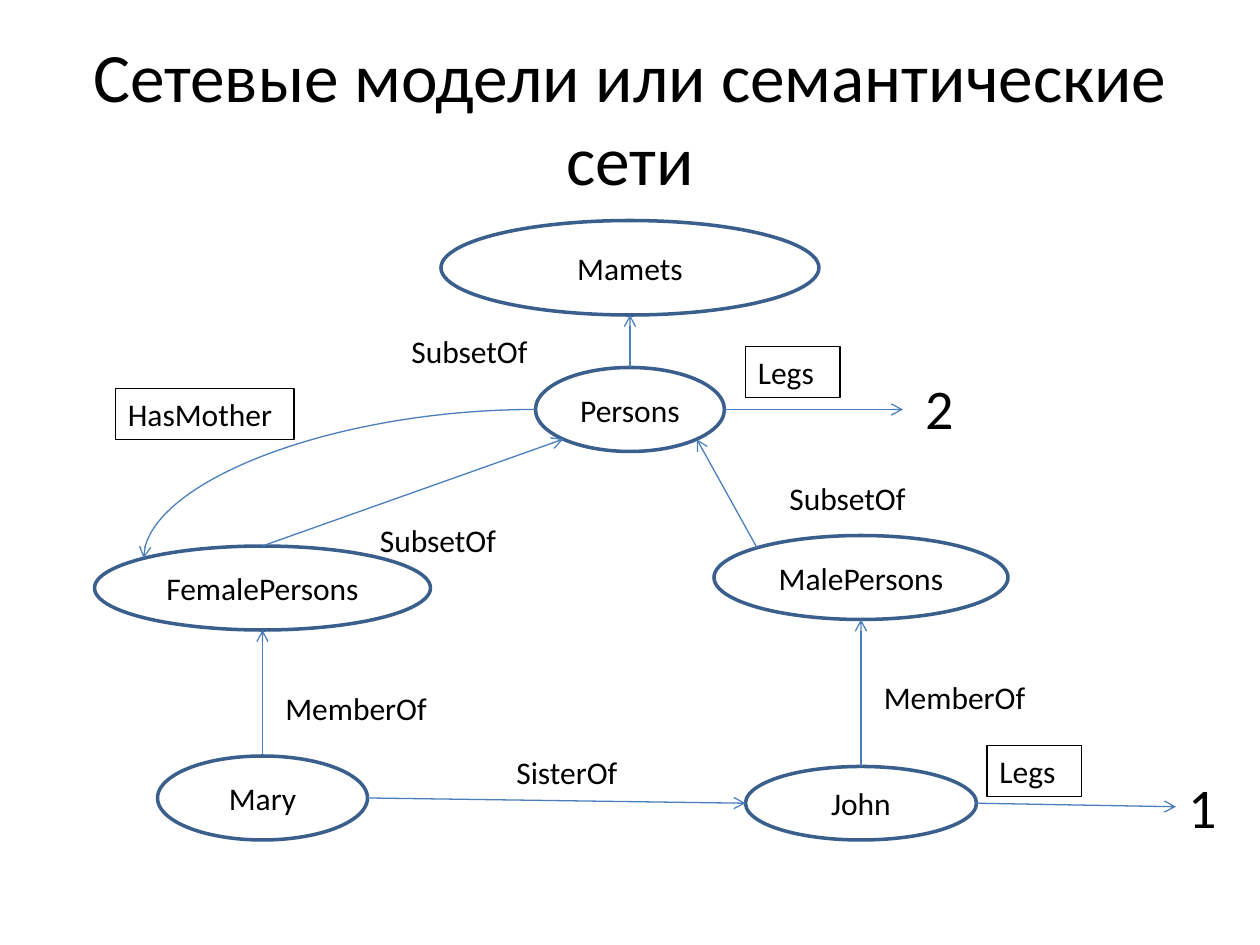
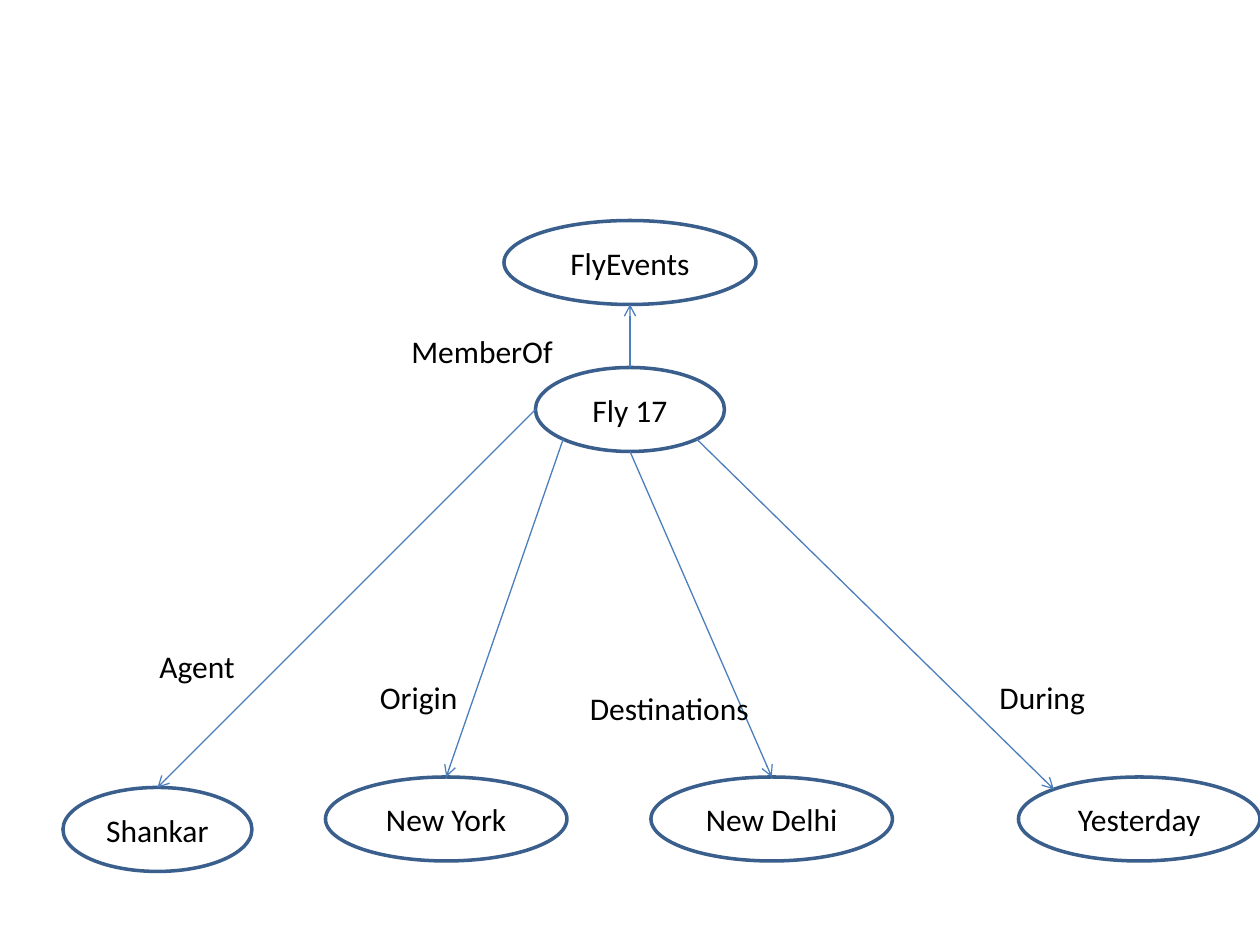
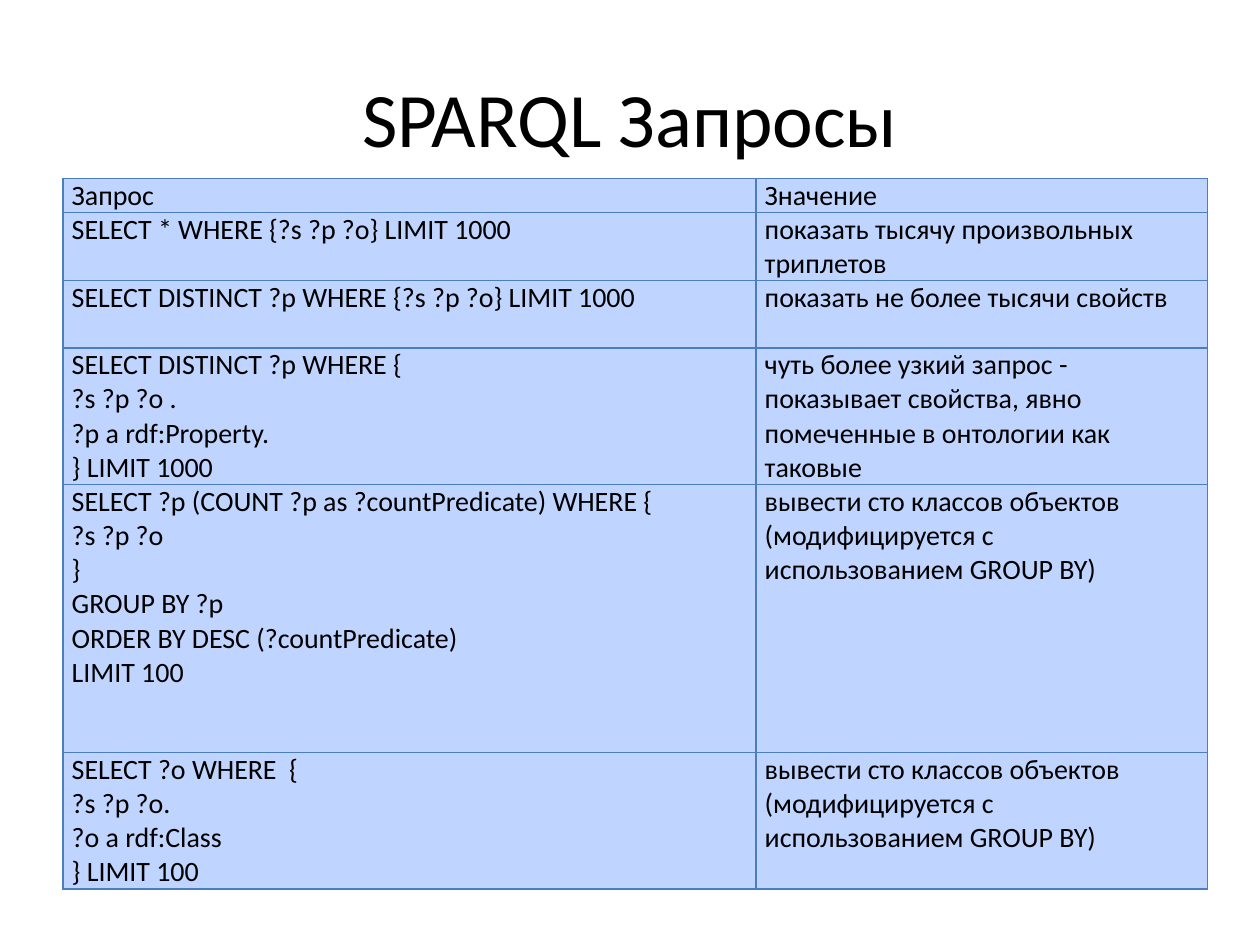
from math import sqrt

from lxml.etree import SubElement
from pptx import Presentation
from pptx.dml.color import RGBColor
from pptx.enum.shapes import MSO_CONNECTOR, MSO_SHAPE
from pptx.enum.text import MSO_ANCHOR, MSO_AUTO_SIZE, PP_ALIGN
from pptx.oxml.ns import qn
from pptx.util import Pt

COLORS = {
    "text": "000000",
    "outline": "3A5F8C",
    "arrow": "4B7EBC",
    "cell": "BFD4FF",
}
FONT = "Calibri"
TITLE_BOX = (36, 21.6, 648, 90)
NEAR = 0.5 - sqrt(0.5) / 2
FAR = 1 - NEAR
SITES = {
    "top": (0.5, 0),
    "top left": (NEAR, NEAR),
    "left": (0, 0.5),
    "bottom left": (NEAR, FAR),
    "bottom": (0.5, 1),
    "bottom right": (FAR, FAR),
    "right": (1, 0.5),
}


def fill_text(shape, text, size, centered):
    frame = shape.text_frame
    frame.word_wrap = True
    frame.text = text
    frame.vertical_anchor = MSO_ANCHOR.MIDDLE if centered else MSO_ANCHOR.TOP
    if not centered:
        frame.auto_size = MSO_AUTO_SIZE.SHAPE_TO_FIT_TEXT
    for paragraph in frame.paragraphs:
        paragraph.alignment = PP_ALIGN.CENTER if centered else PP_ALIGN.LEFT
        paragraph.font.name = FONT
        paragraph.font.size = Pt(size)
        paragraph.font.color.rgb = RGBColor.from_string(COLORS["text"])


def locate(nodes, end):
    if isinstance(end[0], str):
        left, top, width, height = nodes[end[0]]
        across, down = SITES[end[1]]
        end = (left + across * width, top + down * height)
    return [Pt(round(value, 2)) for value in end]


diagrams = [
    {
        "title": "Сетевые модели или семантические сети",
        "nodes": {
            "Mamets": (252, 126, 216, 54),
            "Persons": (306, 210, 108, 48),
            "FemalePersons": (54, 312, 192, 48),
            "MalePersons": (408, 306, 168, 48),
            "Маrу": (90, 432, 120, 48),
            "John": (426, 438, 132, 42),
        },
        "links": [
            (("Persons", "top"), ("Mamets", "bottom")),
            (("FemalePersons", "top"), ("Persons", "bottom left")),
            (("MalePersons", "top left"), ("Persons", "bottom right")),
            (("Маrу", "top"), ("FemalePersons", "bottom")),
            (("John", "top"), ("MalePersons", "bottom")),
            (("Persons", "right"), (516, 234)),
            (("Маrу", "right"), ("John", "left")),
            (("John", "right"), (672, 461)),
        ],
        "curves": [(("Persons", "left"), ("FemalePersons", "top left"))],
        "labels": [
            ("SubsetOf", 228, 186, 150, 18),
            ("SubsetOf", 210, 294, 150, 18),
            ("SubsetOf", 444, 270, 150, 18),
            ("MemberOf", 156, 390, 150, 18),
            ("MemberOf", 498, 384, 150, 18),
            ("SisterOf", 288, 427, 150, 18),
            ("2", 522, 210, 150, 32),
            ("1", 672, 438, 48, 32),
        ],
        "frames": [
            ("Legs", 426, 198, 54),
            ("HasMother", 66, 222, 102),
            ("Legs", 564, 426, 54),
        ],
    },
    {
        "title": None,
        "nodes": {
            "FlyEvents": (288, 126, 144, 48),
            "Fly 17": (306, 210, 108, 48),
            "Shankar": (36, 450, 108, 48),
            "New York": (186, 444, 138, 48),
            "New Delhi": (372, 444, 138, 48),
            "Yesterday": (582, 444, 138, 48),
        },
        "links": [
            (("Fly 17", "top"), ("FlyEvents", "bottom")),
            (("Fly 17", "left"), ("Shankar", "top")),
            (("Fly 17", "bottom left"), ("New York", "top")),
            (("Fly 17", "bottom"), ("New Delhi", "top")),
            (("Fly 17", "bottom right"), ("Yesterday", "top left")),
        ],
        "curves": [],
        "labels": [
            ("MemberOf", 228, 186, 108, 18),
            ("Agent", 84, 366, 60, 18),
            ("Origin", 210, 384, 60, 18),
            ("Destinations", 330, 390, 108, 18),
            ("During", 564, 384, 84, 18),
        ],
        "frames": [],
    },
]

presentation = Presentation()
presentation.slide_width = Pt(720)
presentation.slide_height = Pt(540)
blank = presentation.slide_layouts[6]

for diagram in diagrams:
    slide = presentation.slides.add_slide(blank)
    nodes = diagram["nodes"]
    if diagram["title"]:
        title = slide.shapes.add_textbox(*map(Pt, TITLE_BOX))
        fill_text(title, diagram["title"], 39.6, True)

    for name, box in nodes.items():
        ellipse = slide.shapes.add_shape(MSO_SHAPE.OVAL, *map(Pt, box))
        ellipse.shadow.inherit = False
        ellipse.fill.background()
        ellipse.line.color.rgb = RGBColor.from_string(COLORS["outline"])
        ellipse.line.width = Pt(2)
        fill_text(ellipse, name, 18, True)

    for start, end in diagram["links"] + diagram["curves"]:
        curved = (start, end) in diagram["curves"]
        kind = MSO_CONNECTOR.CURVE if curved else MSO_CONNECTOR.STRAIGHT
        arrow = slide.shapes.add_connector(kind, *locate(nodes, start), *locate(nodes, end))
        arrow.line.color.rgb = RGBColor.from_string(COLORS["arrow"])
        arrow.line.width = Pt(0.75)
        properties = arrow._element.spPr
        if curved:
            properties.find(qn("a:prstGeom")).set("prst", "curvedConnector2")
        SubElement(properties.find(qn("a:ln")), qn("a:tailEnd"), type="arrow")
        SubElement(properties, qn("a:effectLst"))

    for text, left, top, width, size in diagram["labels"]:
        height = 46 if size == 32 else 29
        label = slide.shapes.add_textbox(Pt(left), Pt(top), Pt(width), Pt(height))
        fill_text(label, text, size, False)

    for text, left, top, width in diagram["frames"]:
        frame = slide.shapes.add_shape(MSO_SHAPE.RECTANGLE, Pt(left), Pt(top), Pt(width), Pt(29))
        frame.shadow.inherit = False
        frame.fill.background()
        frame.line.color.rgb = RGBColor.from_string(COLORS["text"])
        frame.line.width = Pt(0.75)
        fill_text(frame, text, 18, False)

queries = [
    (19.5, "Запрос", "Значение"),
    (39, "SELECT * WHERE {?s ?p ?o} LIMIT 1000", "показать тысячу произвольных триплетов"),
    (38.4, "SELECT DISTINCT ?p WHERE {?s ?p ?o} LIMIT 1000", "показать не более тысячи свойств"),
    (
        78,
        "SELECT DISTINCT ?p WHERE {\n?s ?p ?o .\n?p a rdf:Property.\n} LIMIT 1000",
        "чуть более узкий запрос - показывает свойства, явно помеченные в онтологии как таковые",
    ),
    (
        153.2,
        "SELECT ?p (COUNT ?p as ?countPredicate) WHERE {\n?s ?p ?o\n}\nGROUP BY ?p\n"
        "ORDER BY DESC (?countPredicate)\nLIMIT 100",
        "вывести сто классов объектов (модифицируется с использованием GROUP BY)",
    ),
    (
        78,
        "SELECT ?o WHERE  {\n?s ?p ?o.\n?o a rdf:Class\n} LIMIT 100",
        "вывести сто классов объектов (модифицируется с использованием GROUP BY)",
    ),
]

slide = presentation.slides.add_slide(blank)
title = slide.shapes.add_textbox(*map(Pt, TITLE_BOX))
fill_text(title, "SPARQL Запросы", 44, True)

table = slide.shapes.add_table(len(queries), 2, Pt(36), Pt(102), Pt(654), Pt(406.1)).table
table.first_row = False
table.horz_banding = False
table.columns[0].width = Pt(396)
table.columns[1].width = Pt(258)
for row, (height, *texts) in zip(table.rows, queries):
    row.height = Pt(height)
    for cell, text in zip(row.cells, texts):
        cell.text = text
        cell.margin_left = cell.margin_right = Pt(5)
        cell.margin_top = cell.margin_bottom = Pt(0)
        for paragraph in cell.text_frame.paragraphs:
            paragraph.font.name = FONT
            paragraph.font.size = Pt(16)
            paragraph.font.color.rgb = RGBColor.from_string(COLORS["text"])
        for side in ("lnL", "lnR", "lnT", "lnB"):
            border = SubElement(cell._tc.get_or_add_tcPr(), qn("a:" + side), w=str(Pt(0.75)))
            SubElement(SubElement(border, qn("a:solidFill")), qn("a:srgbClr"), val=COLORS["arrow"])
        cell.fill.solid()
        cell.fill.fore_color.rgb = RGBColor.from_string(COLORS["cell"])

presentation.save("out.pptx")
